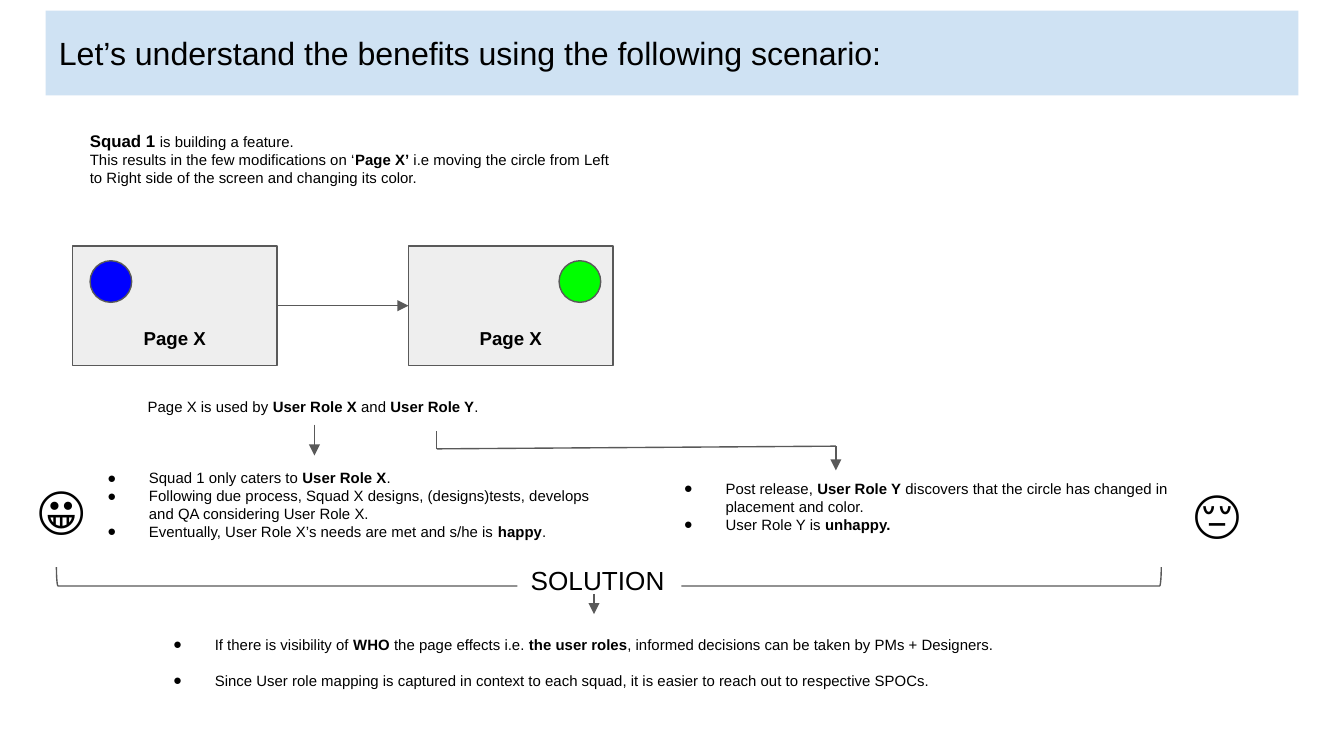
from dataclasses import dataclass

from lxml.etree import SubElement
from pptx import Presentation
from pptx.dml.color import RGBColor
from pptx.enum.shapes import MSO_CONNECTOR as Connector, MSO_SHAPE as Shape
from pptx.enum.text import MSO_ANCHOR as Anchor, MSO_AUTO_SIZE as AutoSize, PP_ALIGN as Align
from pptx.oxml.ns import qn
from pptx.util import Inches, Pt


@dataclass(frozen=True)
class Theme:
    font: str = "Arial"
    ink: str = "000000"
    line: str = "595959"
    banner: str = "CFE2F3"
    page: str = "EEEEEE"
    before: str = "0000FF"
    after: str = "00FF00"
    paper: str = "FFFFFF"
    title: float = 17.2
    body: float = 8
    lead: float = 9
    label: float = 10
    heading: float = 14
    emoji: float = 28
    stroke: float = 0.75


@dataclass(frozen=True)
class Box:
    left: float
    top: float
    width: float
    height: float

    def lengths(self):
        return [Inches(n) for n in (self.left, self.top, self.width, self.height)]


@dataclass(frozen=True)
class Page:
    left: float
    dot_offset: float
    dot_color: str


@dataclass(frozen=True)
class Note:
    box: Box
    paragraphs: tuple[str, ...]
    style: dict


@dataclass(frozen=True)
class Stroke:
    start: tuple[float, float]
    end: tuple[float, float]
    arrow: bool = False


THEME = Theme()
PAGE_TOP, PAGE_WIDTH, PAGE_HEIGHT = 1.83, 1.52, 0.89
PAGES = (Page(0.54, 0.13, THEME.before), Page(3.04, 1.12, THEME.after))
BULLETED = {"bulleted": True}
EMOJI = {"size": THEME.emoji}
NOTES = (
    Note(Box(0.57, 0.87, 4.08, 0.62), (
        "**Squad 1 **is building a feature.",
        "This results in the few modifications on ‘**Page X’** i.e moving the circle "
        "from Left to Right side of the screen and changing its color.",
    ), {"lead_size": THEME.lead}),
    Note(Box(1, 2.89, 3.28, 0.34),
         ("Page X is used by **User Role X** and **User Role Y**.",), {}),
    Note(Box(0.51, 3.39, 4.08, 0.74), (
        "Squad 1 only caters to **User Role X**.",
        "Following due process, Squad X designs, (designs)tests, develops "
        "and QA considering User Role X.",
        "Eventually, User Role X’s needs are met and s/he is **happy**.",
    ), BULLETED),
    Note(Box(4.8, 3.47, 4.08, 0.61), (
        "Post release, **User Role Y** discovers that the circle has changed in "
        "placement and color.",
        "User Role Y is **unhappy.**",
    ), BULLETED),
    Note(Box(1, 4.63, 6.8, 0.61), (
        "If there is visibility of **WHO **the page effects i.e. **the user roles**, "
        "informed decisions can be taken by PMs + Designers.",
        "Since User role mapping is captured in context to each squad, "
        "it is easier to reach out to respective SPOCs.",
    ), {"bulleted": True, "gap": 9.6}),
    Note(Box(0.18, 3.44, 0.74, 0.67), ("😀",), EMOJI),
    Note(Box(8.78, 3.47, 1.02, 0.67), ("😔",), EMOJI),
)
STROKES = (
    Stroke((2.34, 3.16), (2.34, 3.39), arrow=True),
    Stroke((3.25, 3.21), (3.25, 3.34)),
    Stroke((3.25, 3.34), (6.22, 3.32)),
    Stroke((6.22, 3.32), (6.22, 3.5), arrow=True),
)


def add_bullet(paragraph) -> None:
    """Give a paragraph a hanging round bullet."""
    properties = paragraph._p.get_or_add_pPr()
    properties.set("marL", str(Inches(0.5)))
    properties.set("indent", str(Inches(-0.31)))
    color = SubElement(properties, qn("a:buClr"))
    SubElement(color, qn("a:srgbClr"), val=THEME.ink)
    SubElement(properties, qn("a:buFont"), typeface=THEME.font)
    SubElement(properties, qn("a:buChar"), char="●")


def write_text(shape, *paragraphs: str, size: float = THEME.body, lead_size: float | None = None,
               align=Align.LEFT, anchor=Anchor.TOP, bulleted: bool = False,
               gap: float = 0) -> None:
    """Write paragraphs whose bold parts stand between double asterisks."""
    frame = shape.text_frame
    frame.word_wrap = True
    frame.vertical_anchor = anchor
    frame.margin_left = frame.margin_right = Inches(0.1)
    frame.margin_top = frame.margin_bottom = Inches(0.1)
    for row, content in enumerate(paragraphs):
        paragraph = frame.add_paragraph() if row else frame.paragraphs[0]
        paragraph.alignment = align
        if bulleted:
            add_bullet(paragraph)
        if row and gap:
            paragraph.space_before = Pt(gap)
        for part, words in enumerate(content.split("**")):
            if not words:
                continue
            run = paragraph.add_run()
            run.text = words
            run.font.name = THEME.font
            run.font.bold = part % 2 == 1
            is_lead = lead_size and row == 0 and part == 1
            run.font.size = Pt(lead_size if is_lead else size)
            run.font.color.rgb = RGBColor.from_string(THEME.ink)


def add_note(shapes, box: Box, *paragraphs: str, **style) -> None:
    """Add a text box that grows with its text."""
    note = shapes.add_textbox(*box.lengths())
    write_text(note, *paragraphs, **style)
    note.text_frame.auto_size = AutoSize.SHAPE_TO_FIT_TEXT


def add_figure(shapes, kind: Shape, box: Box, fill: str | None = None, outlined: bool = True):
    """Add a flat preset shape."""
    figure = shapes.add_shape(kind, *box.lengths())
    figure.shadow.inherit = False
    if fill:
        figure.fill.solid()
        figure.fill.fore_color.rgb = RGBColor.from_string(fill)
    else:
        figure.fill.background()
    if outlined:
        figure.line.color.rgb = RGBColor.from_string(THEME.line)
        figure.line.width = Pt(THEME.stroke)
    else:
        figure.line.fill.background()
    return figure


def add_stroke(shapes, stroke: Stroke):
    """Add a straight line, with an arrowhead where asked."""
    ends = [Inches(n) for n in (*stroke.start, *stroke.end)]
    line = shapes.add_connector(Connector.STRAIGHT, *ends)
    line.line.color.rgb = RGBColor.from_string(THEME.line)
    line.line.width = Pt(THEME.stroke)
    if stroke.arrow:
        SubElement(line.line._get_or_add_ln(), qn("a:tailEnd"), type="triangle")
    SubElement(line._element.spPr, qn("a:effectLst"))
    return line


def add_page(shapes, page: Page):
    """Add a labelled page with its circle and return the page frame."""
    group = shapes.add_group_shape().shapes
    frame = add_figure(group, Shape.RECTANGLE,
                       Box(page.left, PAGE_TOP, PAGE_WIDTH, PAGE_HEIGHT), THEME.page)
    add_figure(group, Shape.OVAL,
               Box(page.left + page.dot_offset, PAGE_TOP + 0.11, 0.31, 0.31), page.dot_color)
    add_note(shapes, Box(page.left + 0.27, PAGE_TOP + 0.52, 0.98, 0.37), "**Page X**",
             size=THEME.label, align=Align.CENTER)
    return frame


def main() -> None:
    """Build the scenario slide."""
    deck = Presentation()
    deck.slide_width = Inches(10)
    deck.slide_height = deck.slide_width * 9 // 16
    shapes = deck.slides.add_slide(deck.slide_layouts[6]).shapes

    banner = add_figure(shapes, Shape.RECTANGLE, Box(0.34, 0.08, 9.32, 0.63),
                        THEME.banner, outlined=False)
    write_text(banner, "Let’s understand the benefits using the following scenario:",
               size=THEME.title, anchor=Anchor.MIDDLE)

    before, after = [add_page(shapes, page) for page in PAGES]
    middle = PAGE_TOP + PAGE_HEIGHT / 2
    change = add_stroke(shapes, Stroke((PAGES[0].left + PAGE_WIDTH, middle),
                                       (PAGES[1].left, middle), arrow=True))
    change.begin_connect(before, 3)
    change.end_connect(after, 1)

    for note in NOTES:
        add_note(shapes, note.box, *note.paragraphs, **note.style)
    for stroke in STROKES:
        add_stroke(shapes, stroke)

    bracket = add_figure(shapes, Shape.LEFT_BRACKET, Box(4.46, 0.18, 0.14, 8.22))
    bracket.rotation = 270
    solution = add_figure(shapes, Shape.RECTANGLE, Box(3.85, 4.1, 1.22, 0.44),
                          THEME.paper, outlined=False)
    write_text(solution, "SOLUTION", size=THEME.heading)
    add_stroke(shapes, Stroke((4.42, 4.42), (4.42, 4.57), arrow=True))

    deck.save("out.pptx")


if __name__ == "__main__":
    main()
